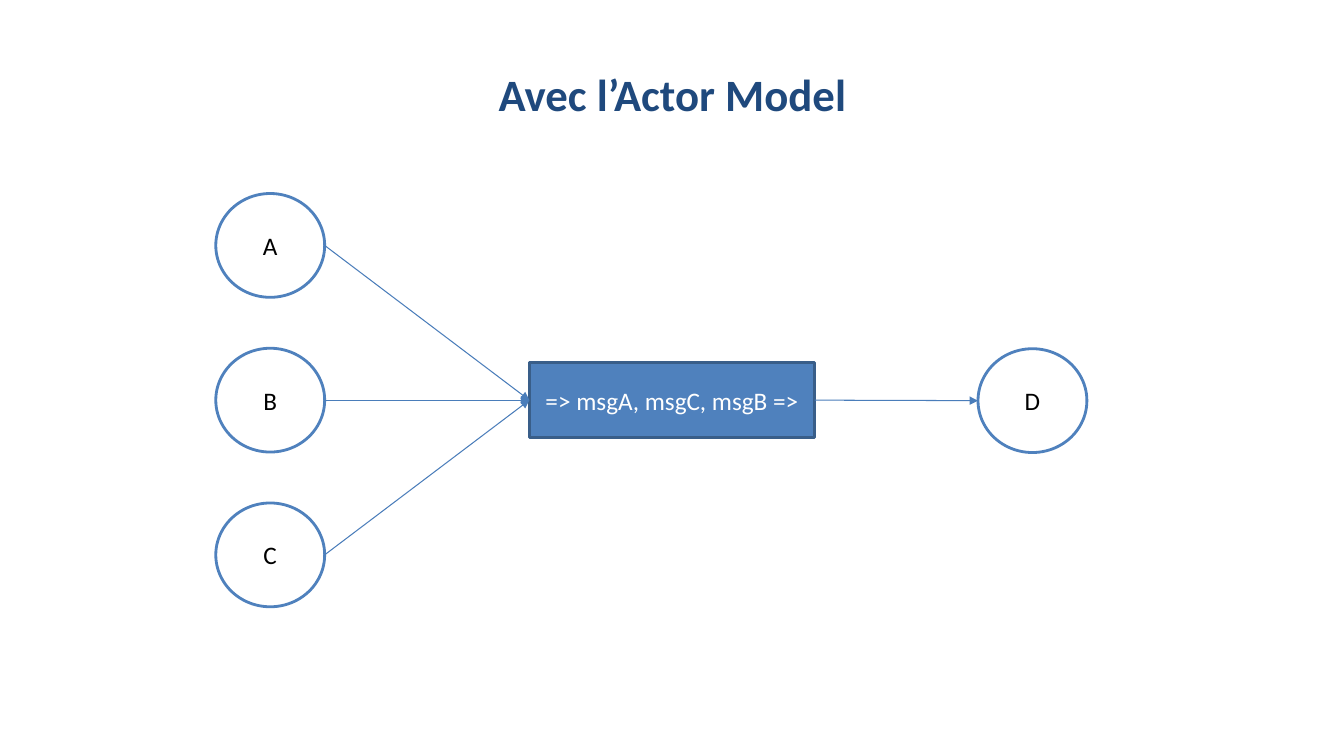
from lxml import etree
from pptx import Presentation
from pptx.dml.color import RGBColor
from pptx.enum.shapes import MSO_CONNECTOR, MSO_SHAPE
from pptx.enum.text import MSO_ANCHOR, PP_ALIGN
from pptx.oxml.ns import qn
from pptx.util import Inches, Pt

OVAL = MSO_SHAPE.OVAL
RECTANGLE = MSO_SHAPE.RECTANGLE
STRAIGHT = MSO_CONNECTOR.STRAIGHT
MIDDLE = MSO_ANCHOR.MIDDLE
CENTER = PP_ALIGN.CENTER
RIGHT_SITE, LEFT_SITE = 6, 2
QUEUE_LEFT, QUEUE_RIGHT = 1, 3


def color(value):
    return RGBColor.from_string(value)


def write(shape, text, size, text_color, bold=False):
    frame = shape.text_frame
    frame.word_wrap = True
    frame.vertical_anchor = MIDDLE
    para = frame.paragraphs[0]
    para.alignment = CENTER
    span = para.add_run()
    span.text = text
    span.font.name = "Calibri"
    span.font.size = Pt(size)
    span.font.bold = bold
    span.font.color.rgb = color(text_color)


deck = Presentation()
deck.slide_width = Inches(13.33)
deck.slide_height = Inches(7.5)
page = deck.slides.add_slide(deck.slide_layouts[5])

title = page.shapes.title
title.left, title.top = Inches(0.67), Inches(0.3)
title.width, title.height = Inches(12), Inches(1.25)
write(title, "Avec l’Actor Model", 32, "1F497D", True)

actor_row = [("A", 2.14, 1.92), ("B", 2.14, 3.455), ("C", 2.14, 4.99), ("D", 9.7, 3.46)]
actor_row = [(name, OVAL, left, top, 1.08, 1.03, "FFFFFF", "4F81BD", "000000")
             for name, left, top in actor_row]
queue_text = "=> msgA, msgC, msgB =>"
queue_row = (queue_text, RECTANGLE, 5.25, 3.6, 2.83, 0.74, "4F81BD", "395E89", "FFFFFF")

nodes = {}
for text, kind, left, top, width, height, fill, line, text_color in actor_row + [queue_row]:
    box = page.shapes.add_shape(kind, Inches(left), Inches(top), Inches(width), Inches(height))
    box.shadow.inherit = False
    box.fill.solid()
    box.fill.fore_color.rgb = color(fill)
    box.line.color.rgb = color(line)
    box.line.width = Pt(2)
    write(box, text, 18, text_color)
    nodes[text] = box

links = [(name, RIGHT_SITE, queue_text, QUEUE_LEFT) for name in "ABC"]
links.append((queue_text, QUEUE_RIGHT, "D", LEFT_SITE))
for source, source_site, target, target_site in links:
    start, end = nodes[source], nodes[target]
    arrow = page.shapes.add_connector(
        STRAIGHT,
        start.left + start.width, start.top + start.height // 2,
        end.left, end.top + end.height // 2)
    for tag, node, site in (("a:stCxn", start, source_site), ("a:endCxn", end, target_site)):
        etree.SubElement(arrow._element.nvCxnSpPr.cNvCxnSpPr, qn(tag),
                         id=str(node.shape_id), idx=str(site))
    arrow.line.color.rgb = color("4A7DBA")
    arrow.line.width = Pt(0.75)
    etree.SubElement(arrow.line._get_or_add_ln(), qn("a:tailEnd"), type="triangle")
    etree.SubElement(arrow._element.spPr, qn("a:effectLst"))

deck.save("out.pptx")
